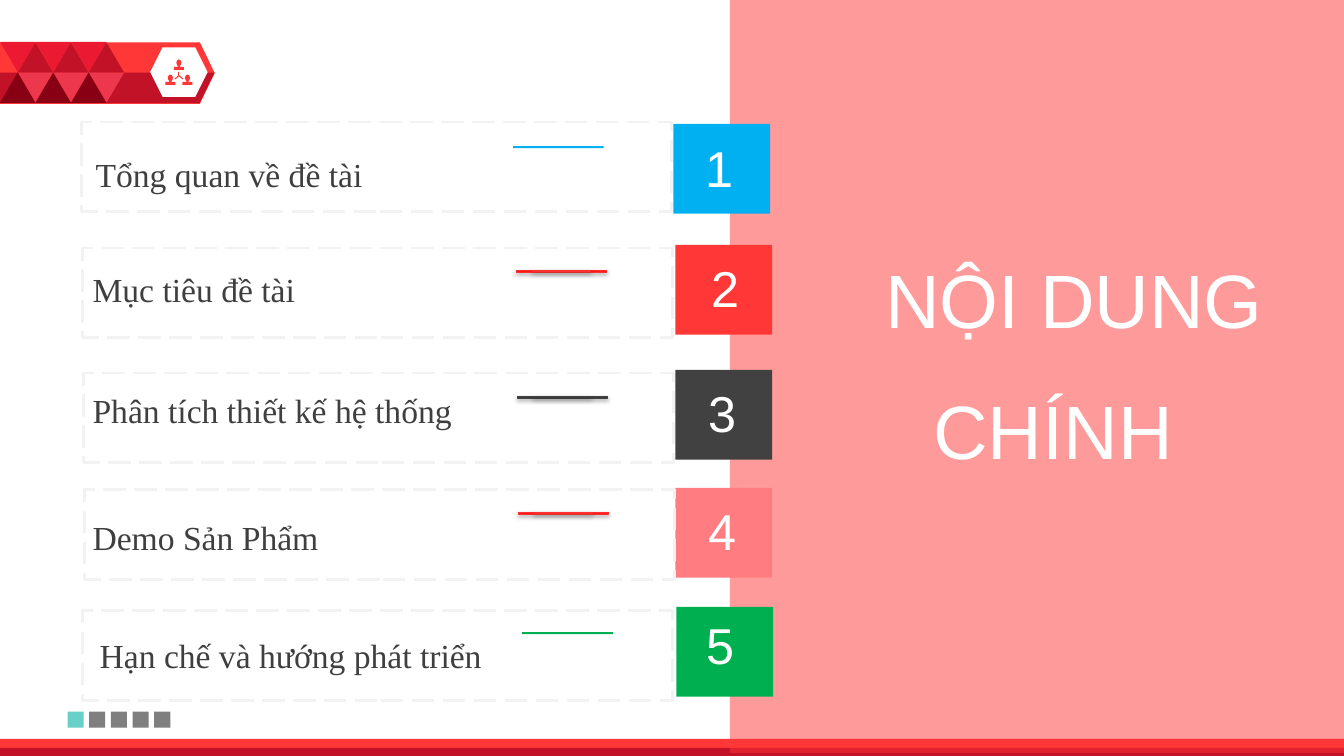
import pptx
import pptx.util
import pptx.dml.color
import pptx.enum.dml
import pptx.enum.shapes
import pptx.enum.text
import pptx.oxml
import pptx.oxml.ns

CELL = 0.1
COLS, ROWS = 133.33, 75
MSO = pptx.enum.shapes.MSO_SHAPE
ALIGN = pptx.enum.text.PP_ALIGN
C = {
    "white": "FFFFFF", "red": "FF3737", "crimson": "C21227", "scarlet": "EB1932",
    "rose": "ED374D", "maroon": "880014", "blue": "00B0F0", "dark": "414141",
    "pink": "FF7C80", "green": "00B050", "teal": "68D0C6", "gray": "7F7F7F",
    "frame": "F2F2F2", "text": "3F3F3F", "rule_red": "FF1818", "edge_red": "FD3030",
}
ITEMS = [
    dict(label="Tổng quan về đề tài", text=(8.5, 14.8), badge=(66.8, 12.3), num=(67.9, 13.1),
         rule=(55.4, 14.6), frame=(8.1, 12.1), fill="blue", rule_fill="blue", edge=None),
    dict(label="Mục tiêu đề tài", text=(8.2, 26.2), badge=(67, 24.3), num=(68.5, 25),
         rule=(55.7, 26.9), frame=(8.2, 24.6), fill="red", rule_fill="rule_red", edge="edge_red"),
    dict(label="Phân tích thiết kế hệ thống", text=(8.2, 38.2), badge=(67, 36.7), num=(68.2, 37.4),
         rule=(55.8, 39.4), frame=(8.3, 37), fill="dark", rule_fill="text", edge="text"),
    dict(label="Demo Sản Phẩm", text=(8.2, 50.8), badge=(67, 48.4), num=(68.2, 49.1),
         rule=(55.9, 50.9), frame=(8.4, 48.6), fill="pink", rule_fill="rule_red", edge="edge_red"),
    dict(label="Hạn chế và hướng phát triển", text=(8.9, 62.5), badge=(67.1, 60.2), num=(68, 60.4),
         rule=(56.3, 62.8), frame=(8.2, 60.6), fill="green", rule_fill="green", edge=None),
]


def u(cells):
    """Convert grid cells to a length."""
    return pptx.util.Inches(cells * CELL)


def rgb(name):
    """Look up a named colour."""
    return pptx.dml.color.RGBColor.from_string(C[name])


def paint(sp, fill, edge=None, width=0.75):
    """Set fill and outline and remove the theme shadow."""
    sp.shadow.inherit = False
    if fill:
        sp.fill.solid()
        sp.fill.fore_color.rgb = rgb(fill)
    else:
        sp.fill.background()
    if edge:
        sp.line.color.rgb = rgb(edge)
        sp.line.width = pptx.util.Pt(width)
    else:
        sp.line.fill.background()
    return sp


def add_box(s, kind, x, y, w, h, fill, edge=None, width=0.75):
    """Add a painted preset shape on the grid."""
    return paint(s.shapes.add_shape(kind, u(x), u(y), u(w), u(h)), fill, edge, width)


def add_text(s, text, x, y, w, h, font, size, color, align):
    """Add a one-paragraph text box."""
    tf = s.shapes.add_textbox(u(x), u(y), u(w), u(h)).text_frame
    tf.word_wrap = True
    p = tf.paragraphs[0]
    p.text = text
    style(p, font, size, color, align)


def style(p, font, size, color, align):
    """Format a whole paragraph."""
    p.alignment = align
    p.font.name = font
    p.font.size = pptx.util.Pt(size)
    p.font.color.rgb = rgb(color)


def add_shadow(sp):
    """Give a shape a soft shadow below it."""
    ns = pptx.oxml.ns.nsdecls("a")
    effects = sp.element.spPr.find(pptx.oxml.ns.qn("a:effectLst"))
    effects.append(pptx.oxml.parse_xml(
        f'<a:outerShdw {ns} blurRad="39370" dist="22860" dir="5400000" rotWithShape="0">'
        '<a:srgbClr val="000000"><a:alpha val="35000"/></a:srgbClr></a:outerShdw>'))


def add_icon(s):
    """Draw three linked people."""
    for x, y in ((17.75, 5.9), (16.9, 7.4), (18.6, 7.4)):
        add_box(s, MSO.OVAL, x - 0.25, y, 0.5, 0.65, "red")
        add_box(s, MSO.ROUND_2_SAME_RECTANGLE, x - 0.5, y + 0.73, 1, 0.3, "red")
        add_box(s, MSO.RECTANGLE, x - 0.12, y + 0.5, 0.24, 0.4, "red")
    for x, y in ((17.75, 7.1), (17.35, 7.85), (18.15, 7.85)):
        link = s.shapes.add_connector(pptx.enum.shapes.MSO_CONNECTOR.STRAIGHT,
                                      u(17.75), u(7.5), u(x), u(y))
        link.line.color.rgb = rgb("red")
        link.line.width = pptx.util.Pt(0.75)
        link.element.spPr.append(pptx.oxml.parse_xml(
            f'<a:effectLst {pptx.oxml.ns.nsdecls("a")}/>'))


def add_banner(s):
    """Draw the triangle-patterned arrow with its hexagon."""
    arrow = add_box(s, MSO.PENTAGON, 0, 4.2, 21.3, 6.1, "red")
    arrow.adjustments[0] = 0.24
    ff = s.shapes.build_freeform(u(0), u(7.2))
    ff.add_line_segments([(u(21.3), u(7.2)), (u(19.8), u(10.2)), (u(0), u(10.2))])
    paint(ff.convert_to_shape(), "crimson")
    add_box(s, MSO.HEXAGON, 14.9, 4.7, 5.7, 4.9, "white")
    add_icon(s)
    step = 3.52
    for i in range(3):
        for shift, y, turn, fill in ((0, 4.15, 180, "scarlet"), (0.5, 4.2, 0, "crimson"),
                                     (0.5, 7.2, 180, "rose"), (0, 7.2, 0, "maroon")):
            tri = add_box(s, MSO.ISOSCELES_TRIANGLE, (i + shift) * step, y, step, 3, fill)
            tri.rotation = turn


def add_panel(s):
    """Draw the translucent right-hand panel."""
    panel = add_box(s, MSO.RECTANGLE, 72.4, -0.3, COLS - 72.4, ROWS, "red")
    color = panel.element.spPr.find(".//" + pptx.oxml.ns.qn("a:srgbClr"))
    color.append(pptx.oxml.parse_xml(
        f'<a:alpha {pptx.oxml.ns.nsdecls("a")} val="50000"/>'))


def add_title(s):
    """Place the two-line title over the panel."""
    title = s.shapes.title
    title.element.getparent().append(title.element)
    title.left, title.top, title.width, title.height = u(86.8), u(24.6), u(44), u(22.7)
    tf = title.text_frame
    tf.text = "NỘI DUNG\nCHÍNH"
    tf.word_wrap = True
    tf.auto_size = pptx.enum.text.MSO_AUTO_SIZE.NONE
    tf.vertical_anchor = pptx.enum.text.MSO_ANCHOR.TOP
    for p in tf.paragraphs:
        style(p, "Arial", 54, "white", ALIGN.LEFT)
        p.line_spacing = 1.0
        p.space_before = pptx.util.Pt(0)
    p.space_before = pptx.util.Pt(28.6)
    p._p.get_or_add_pPr().set("marL", str(u(4.8)))


def add_item(s, number, item):
    """Draw one agenda row: badge, number, label, rule and frame."""
    add_box(s, MSO.RECTANGLE, *item["badge"], 9.6, 8.9, item["fill"])
    add_text(s, str(number), *item["num"], 7, 7.1, "Arial", 36, "white", ALIGN.CENTER)
    x, y = item["rule"]
    for w, h in ((9, 0.2), (5.8, 0.1)):
        rule = add_box(s, MSO.RECTANGLE, x - w / 2, y - h / 2, w, h,
                       item["rule_fill"], item["edge"])
        if item["edge"]:
            add_shadow(rule)
    frame = add_box(s, MSO.RECTANGLE, *item["frame"], 58.5, 8.9, None, "frame", 2)
    frame.line.dash_style = pptx.enum.dml.MSO_LINE.LONG_DASH
    add_text(s, item["label"], *item["text"], 53.1, 5, "Times New Roman", 24, "text", ALIGN.LEFT)


def main():
    """Build and save the slide."""
    prs = pptx.Presentation()
    prs.slide_width, prs.slide_height = u(COLS), u(ROWS)
    s = prs.slides.add_slide(prs.slide_layouts[5])
    add_banner(s)
    add_box(s, MSO.RECTANGLE, 0, 73.3, COLS, 1.6, "red")
    add_box(s, MSO.RECTANGLE, 0, 74.2, COLS, 0.8, "crimson")
    add_panel(s)
    add_title(s)
    for i in range(5):
        add_box(s, MSO.RECTANGLE, 6.7 + 2.15 * i, 70.6, 1.6, 1.6, "gray" if i else "teal")
    for number, item in enumerate(ITEMS, 1):
        add_item(s, number, item)
    prs.save("out.pptx")


if __name__ == "__main__":
    main()
